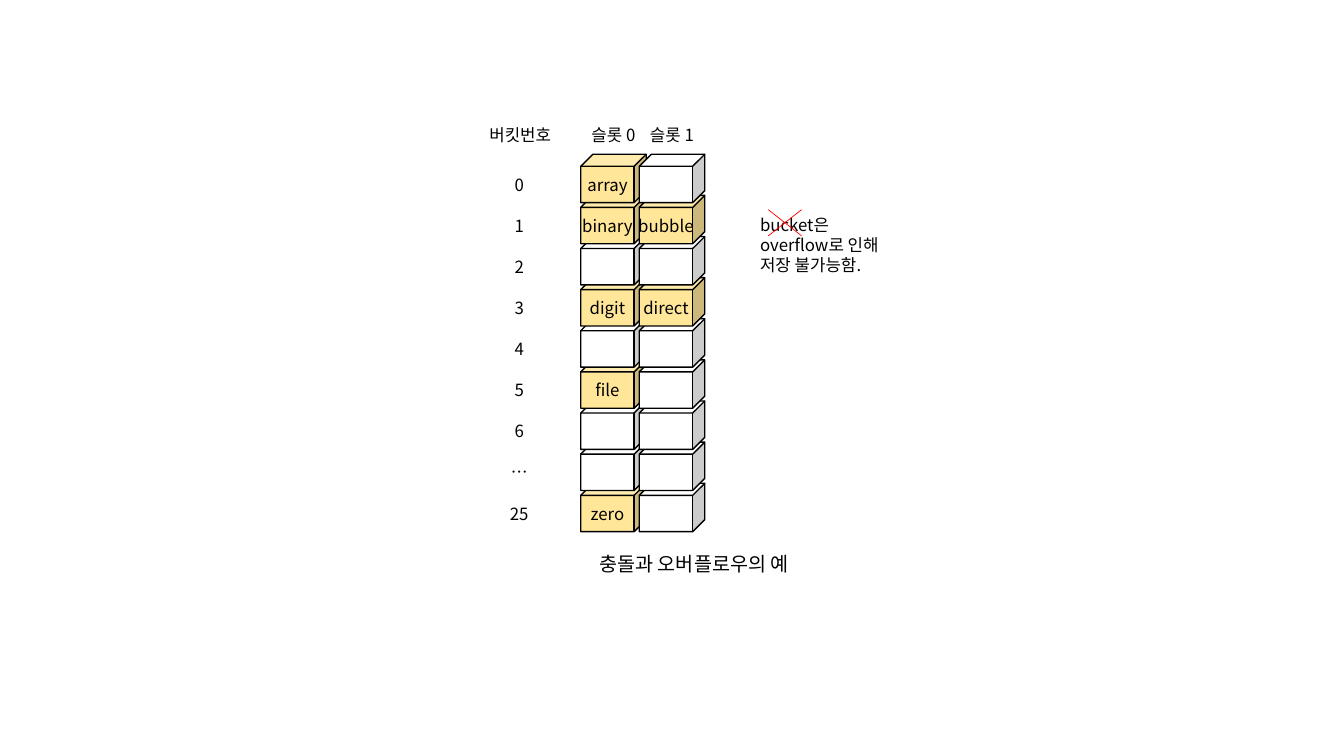
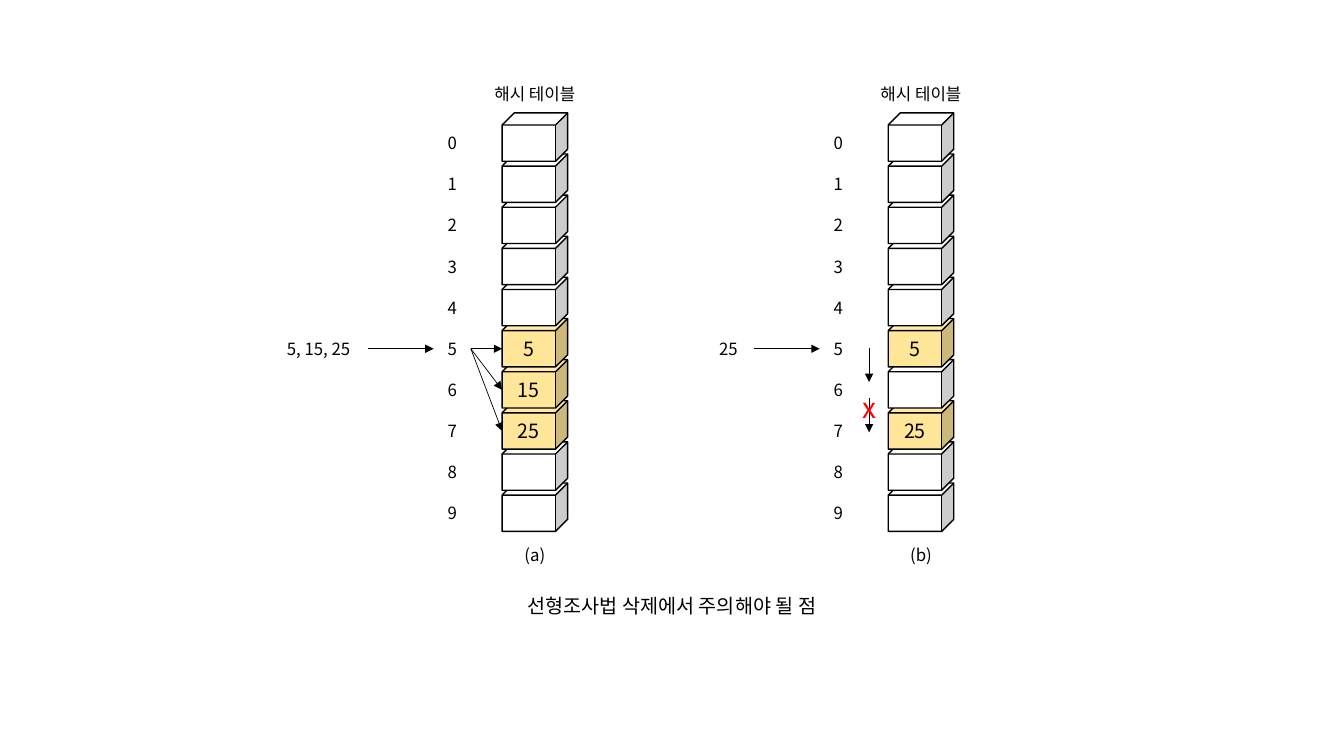
from dataclasses import dataclass

from lxml.etree import SubElement
from pptx import Presentation
from pptx.dml.color import RGBColor
from pptx.enum.shapes import MSO_CONNECTOR as Connector, MSO_SHAPE as Shape
from pptx.enum.text import MSO_ANCHOR as Anchor, MSO_AUTO_SIZE as AutoSize, PP_ALIGN as Align
from pptx.oxml.ns import qn
from pptx.util import Pt


@dataclass(frozen=True)
class Theme:
    font: str = "Noto Sans CJK KR"
    ink: RGBColor = RGBColor(0, 0, 0)
    empty: RGBColor = RGBColor(255, 255, 255)
    filled: RGBColor = RGBColor(255, 230, 153)
    alert: RGBColor = RGBColor(255, 0, 0)
    label_size: int = 12
    caption_size: int = 14
    cross_size: int = 20
    outline: float = 1
    stroke: float = 0.5


THEME = Theme()
EMU_PER_PX = 9144
SLIDE_SIZE = (1333, 750)
CUBE_WIDTH, CUBE_HEIGHT = 65, 48
ROW_PITCH = 40.8
FACE_CENTER = 30
LABEL_HEIGHT = 30
HEADING_RISE = 34

BUCKETS = {
    "caption": ("충돌과 오버플로우의 예", (560, 543, 257, 34)),
    "top": 153,
    "index_heading": ("버킷번호", (447, 119, 138, 30)),
    "indices": ("0", "1", "2", "3", "4", "5", "6", "…", "25"),
    "index_box": (486, 58),
    "slots": (
        ("슬롯 0", 576, {0: "array", 1: "binary", 3: "digit", 5: "file", 8: "zero"}),
        ("슬롯 1", 634, {1: "bubble", 3: "direct"}),
    ),
    "note": (("bucket은", "overflow로 인해", "저장 불가능함."), (744, 208, 190, 71)),
    "cross": ((762, 208, 795, 234), (795, 208, 762, 234)),
}

PROBING = {
    "caption": ("선형조사법 삭제에서 주의해야 될 점", (442, 584, 449, 34)),
    "top": 112,
    "heading": "해시 테이블",
    "name_top": 536,
    "indices": tuple(str(number) for number in range(10)),
    "input_row": 5,
    "tables": (
        {"name": "(a)", "left": 498, "input": ("5, 15, 25", 98),
         "keys": {5: "5", 6: "15", 7: "25"}, "targets": (5, 6, 7), "steps": ()},
        {"name": "(b)", "left": 881, "input": ("25", 51),
         "keys": {5: "5", 7: "25"}, "targets": (), "steps": ((345, 379), (395, 429))},
    ),
    "step_offset": 19,
    "index_offset": 68,
    "index_width": 37,
    "input_offset": 133,
    "cross": ("x", (842, 383, 40, 44)),
}


def emu(*lengths):
    return [round(length * EMU_PER_PX) for length in lengths]


def row_center(top, row):
    return top + FACE_CENTER + row * ROW_PITCH


def write(text_frame, text, size, color=THEME.ink, align=Align.CENTER):
    text_frame.text = text
    for paragraph in text_frame.paragraphs:
        paragraph.alignment = align
        for run in paragraph.runs:
            run.font.name = THEME.font
            run.font.size = Pt(size)
            run.font.color.rgb = color
            SubElement(run.font._element, qn("a:ea"), typeface=THEME.font)


def add_text(slide, text, box, size=THEME.label_size, **style):
    text_frame = slide.shapes.add_textbox(*emu(*box)).text_frame
    text_frame.word_wrap = True
    text_frame.auto_size = AutoSize.SHAPE_TO_FIT_TEXT
    write(text_frame, text, size, **style)


def add_caption(slide, text, box):
    title = slide.shapes.title
    title.left, title.top, title.width, title.height = emu(*box)
    title.text_frame.auto_size = AutoSize.SHAPE_TO_FIT_TEXT
    title.text_frame.vertical_anchor = Anchor.TOP
    write(title.text_frame, text, THEME.caption_size)


def add_line(slide, ends, color=THEME.ink, arrow=True):
    connector = slide.shapes.add_connector(Connector.STRAIGHT, *emu(*ends))
    connector.line.color.rgb = color
    connector.line.width = Pt(THEME.stroke)
    if arrow:
        SubElement(connector.line._get_or_add_ln(), qn("a:tailEnd"), type="triangle")
    SubElement(connector._element.spPr, qn("a:effectLst"))


def add_cubes(slide, left, top, count, keys, size):
    for row in reversed(range(count)):
        box = emu(left, top + row * ROW_PITCH, CUBE_WIDTH, CUBE_HEIGHT)
        cube = slide.shapes.add_shape(Shape.CUBE, *box)
        cube.shadow.inherit = False
        cube.fill.solid()
        cube.fill.fore_color.rgb = THEME.filled if row in keys else THEME.empty
        cube.line.color.rgb = THEME.ink
        cube.line.width = Pt(THEME.outline)
        if row in keys:
            text_frame = cube.text_frame
            text_frame.margin_left = text_frame.margin_right = 0
            text_frame.margin_top = text_frame.margin_bottom = 0
            text_frame.vertical_anchor = Anchor.MIDDLE
            text_frame.word_wrap = False
            write(text_frame, keys[row], size)


def add_indices(slide, indices, left, width, top):
    for row, index in enumerate(indices):
        label_top = row_center(top, row) - LABEL_HEIGHT / 2
        add_text(slide, index, (left, label_top, width, LABEL_HEIGHT))


def add_column_label(slide, text, cube_left, top, width):
    left = cube_left + (CUBE_WIDTH - width) / 2
    add_text(slide, text, (left, top, width, LABEL_HEIGHT))


def build_buckets(slide, content):
    top, indices = content["top"], content["indices"]
    add_caption(slide, *content["caption"])
    add_text(slide, *content["index_heading"])
    add_indices(slide, indices, *content["index_box"], top)
    for heading, left, keys in content["slots"]:
        add_cubes(slide, left, top, len(indices), keys, THEME.label_size)
        add_column_label(slide, heading, left, top - HEADING_RISE, 84)
    lines, box = content["note"]
    add_text(slide, "\n".join(lines), box, align=Align.LEFT)
    for ends in content["cross"]:
        add_line(slide, ends, THEME.alert, arrow=False)


def build_probing(slide, content):
    top, indices = content["top"], content["indices"]
    input_y = row_center(top, content["input_row"])
    add_caption(slide, *content["caption"])
    for table in content["tables"]:
        left = table["left"]
        index_left = left - content["index_offset"]
        index_right = index_left + content["index_width"]
        input_right = left - content["input_offset"]
        step_x = left - content["step_offset"]
        add_cubes(slide, left, top, len(indices), table["keys"], THEME.caption_size)
        add_indices(slide, indices, index_left, content["index_width"], top)
        add_column_label(slide, content["heading"], left, top - HEADING_RISE, 137)
        add_column_label(slide, table["name"], left, content["name_top"], 137)
        text, width = table["input"]
        input_top = input_y - LABEL_HEIGHT / 2
        add_text(slide, text, (input_right - width, input_top, width, LABEL_HEIGHT))
        add_line(slide, (input_right, input_y, index_left, input_y))
        for row in table["targets"]:
            add_line(slide, (index_right, input_y, left, row_center(top, row)))
        for start, end in table["steps"]:
            add_line(slide, (step_x, start, step_x, end))
    add_text(slide, *content["cross"], THEME.cross_size, color=THEME.alert)


def main():
    """Build the two hashing diagrams and save them."""
    presentation = Presentation()
    presentation.slide_width, presentation.slide_height = emu(*SLIDE_SIZE)
    title_only = presentation.slide_layouts[5]
    for build, content in ((build_buckets, BUCKETS), (build_probing, PROBING)):
        build(presentation.slides.add_slide(title_only), content)
    presentation.save("out.pptx")


if __name__ == "__main__":
    main()
